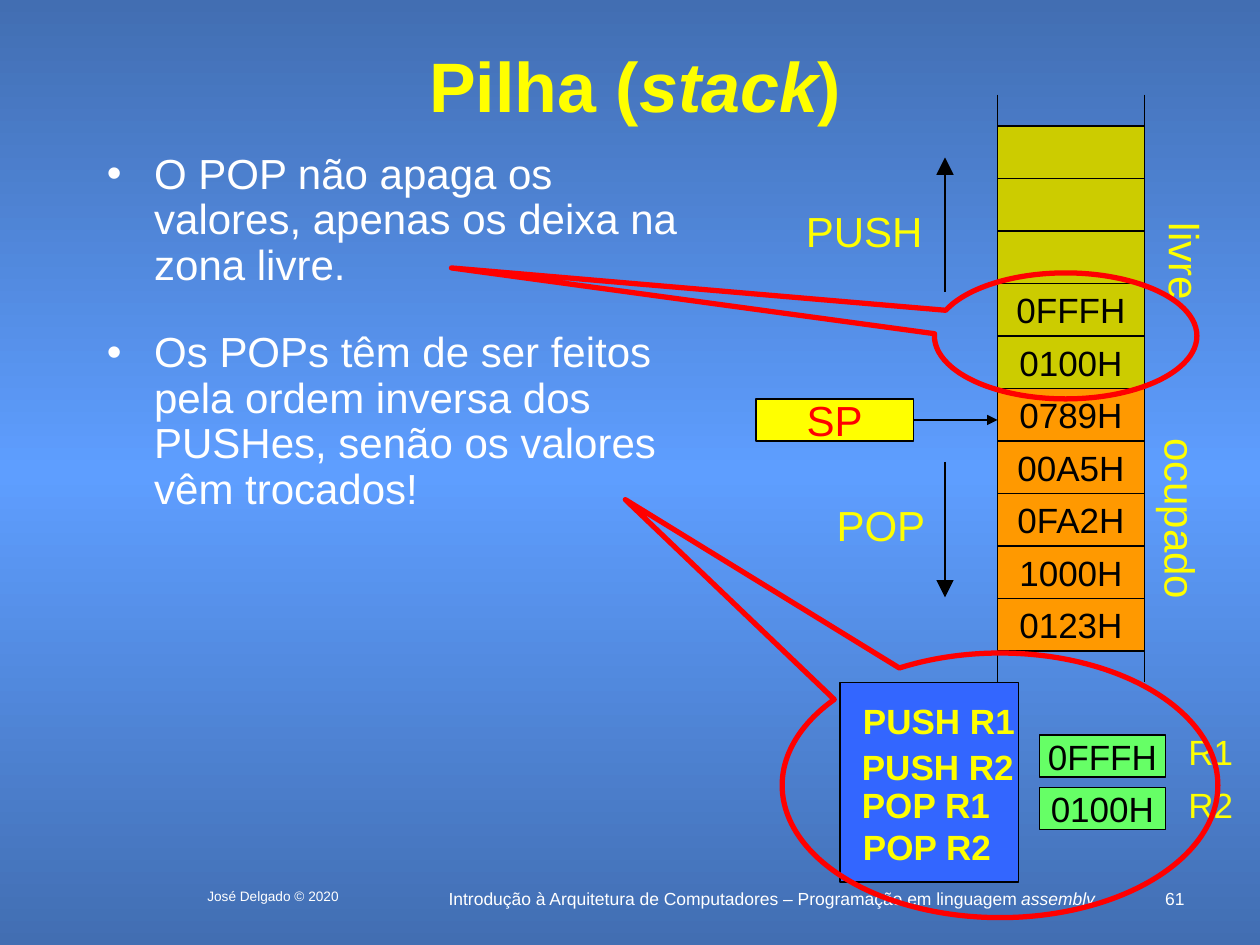
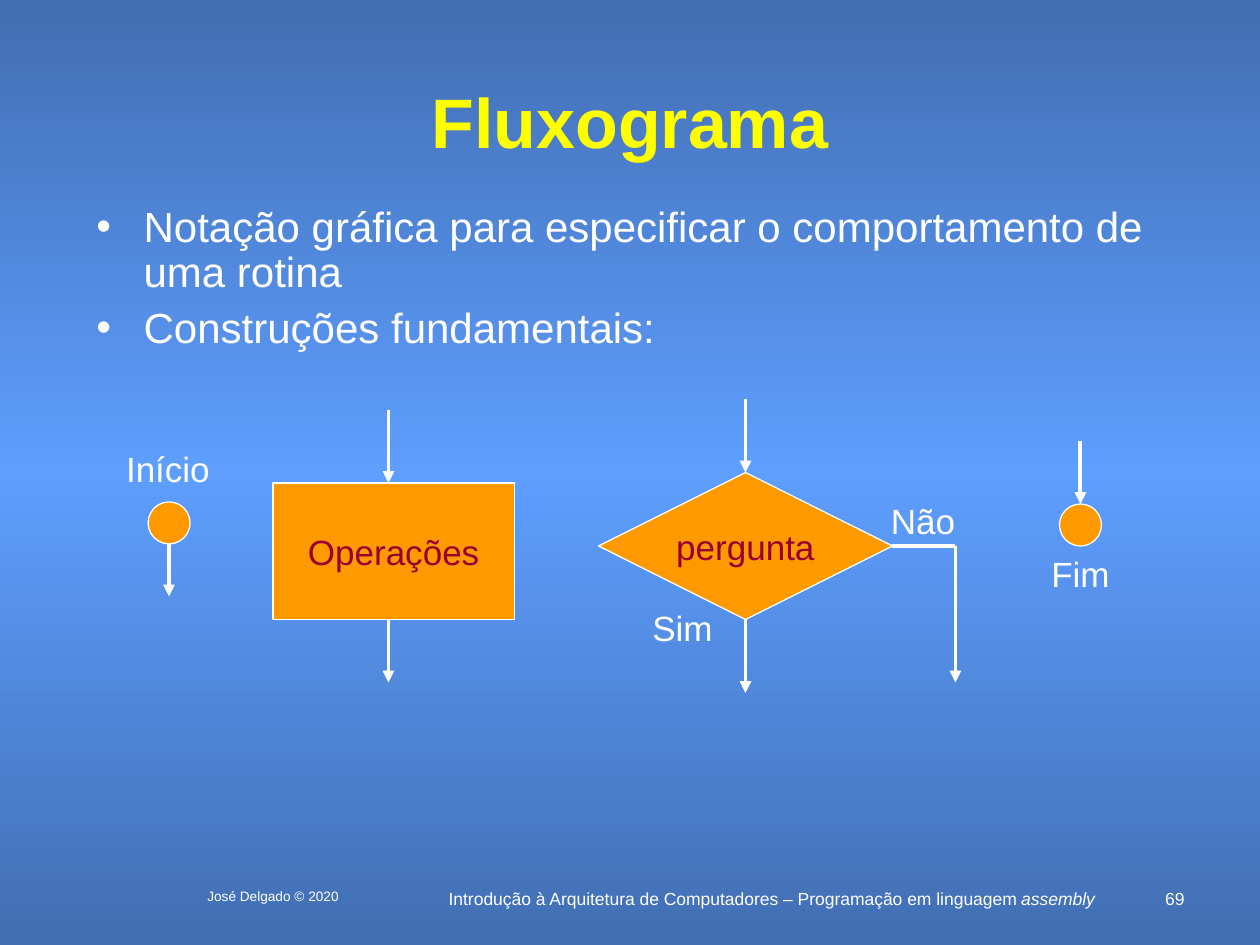
"""Build two lecture slides: the stack (PUSH and POP) and the flowchart notation."""
from copy import deepcopy

from lxml import etree
from pptx import Presentation
from pptx import util as u
from pptx.dml.color import RGBColor
from pptx.enum import shapes, text
from pptx.oxml.ns import qn

PX = 7620
COLORS = {
    "edge": "426EB2", "middle": "5E9EFF", "white": "FFFFFF", "black": "000000",
    "yellow": "FFFF00", "red": "FF0000", "orange": "FF9900", "olive": "CCCC00",
    "green": "66FF66", "blue": "3366FF", "wine": "990033",
}
RGB = {name: RGBColor.from_string(value) for name, value in COLORS.items()}
KIND = shapes.MSO_SHAPE
LEFT, CENTER, RIGHT = text.PP_ALIGN.LEFT, text.PP_ALIGN.CENTER, text.PP_ALIGN.RIGHT
TITLE = {"size": 40, "color": "yellow", "bold": True, "wrap": True}
BULLETS = {"size": 24, "align": LEFT, "wrap": True, "bullet": True}
LABEL = {"size": 24, "color": "yellow"}
CODE = {"color": "yellow", "align": LEFT, "wrap": True}
STEP = {"color": "wine", "fill": "orange", "line": "white"}
FOOTER = "Introdução à Arquitetura de Computadores – Programação em linguagem *assembly*"


def box(slide, kind, spot, lines=(), size=20, color="white", bold=False, align=CENTER,
        wrap=False, bullet=False, gap=0, fill=None, line=None, weight=0.75):
    """Add a preset shape, a text box (None) or the title; *...* marks italics."""
    area = [v * PX for v in spot]
    if kind == "title":
        item = slide.shapes.title
        item.left, item.top, item.width, item.height = area
    elif kind is None:
        item = slide.shapes.add_textbox(*area)
    else:
        item = slide.shapes.add_shape(kind, *area)
        item.shadow.inherit = False
        item.line.color.rgb, item.line.width = RGB[line], u.Pt(weight)
        if fill:
            item.fill.solid()
            item.fill.fore_color.rgb = RGB[fill]
        else:
            item.fill.background()
    frame = item.text_frame
    frame.word_wrap = wrap
    if kind is None and not wrap:
        frame.auto_size = text.MSO_AUTO_SIZE.SHAPE_TO_FIT_TEXT
    frame.vertical_anchor = text.MSO_ANCHOR.MIDDLE if kind else text.MSO_ANCHOR.TOP
    for n, content in enumerate(lines):
        para = frame.add_paragraph() if n else frame.paragraphs[0]
        para.alignment = align
        if bullet:
            para.line_spacing = 0.9
            props = para._p.get_or_add_pPr()
            props.set("marL", str(45 * PX))
            props.set("indent", str(-45 * PX))
            etree.SubElement(props, qn("a:buFont")).set("typeface", "Arial")
            etree.SubElement(props, qn("a:buChar")).set("char", "•")
        if n and gap:
            para.space_before = u.Pt(gap)
        for k, part in enumerate(content.split("*")):
            if part:
                run = para.add_run()
                run.text = part
                values = {"name": "Arial", "size": u.Pt(size), "bold": bold, "italic": k % 2 == 1}
                for key, value in values.items():
                    setattr(run.font, key, value)
                run.font.color.rgb = RGB[color]
    return item


def link(slide, ends, color, weight, head=None):
    """Add a straight line, with an arrowhead of size head at its end."""
    line = slide.shapes.add_connector(shapes.MSO_CONNECTOR.STRAIGHT, *[v * PX for v in ends])
    line.line.color.rgb, line.line.width = RGB[color], u.Pt(weight)
    props = line.element.spPr
    if head:
        tip = etree.SubElement(props.find(qn("a:ln")), qn("a:tailEnd"))
        for key, value in {"type": "triangle", "w": head, "len": head}.items():
            tip.set(key, value)
    etree.SubElement(props, qn("a:effectLst"))
    return line


prs = Presentation()
prs.slide_width, prs.slide_height = 1200 * PX, 900 * PX

backdrop = prs.slide_master.background.fill
backdrop.gradient()
backdrop.gradient_angle = 90
stops = prs.slide_master.element.find(".//" + qn("a:gsLst"))
stops.append(deepcopy(stops[-1]))
for stop, position, tone in zip(backdrop.gradient_stops, (0, 0.5, 1), ("edge", "middle", "edge")):
    stop.position, stop.color.rgb = position, RGB[tone]

slides = []
for number, title, spot in (("61", "Pilha (*stack*)", (90, 40, 1030, 80)),
                            ("69", "Fluxograma", (80, 70, 1040, 90))):
    slide = prs.slides.add_slide(prs.slide_layouts[5])
    box(slide, "title", spot, [title], **TITLE)
    box(slide, None, (410, 840, 650, 30), [FOOTER], size=10, wrap=True)
    box(slide, None, (1090, 840, 50, 20), [number], size=10, align=RIGHT, wrap=True)
    box(slide, None, (160, 840, 200, 30), ["José Delgado © 2020"], size=7.8, wrap=True)
    slides.append(slide)
stack, flow = slides

for zone, spot in (("livre", (1074, 219, 110, 60)), ("ocupado", (1030, 464, 190, 60))):
    box(stack, None, spot, [zone], **LABEL).rotation = 90
for operation, spot, ends in (("PUSH", (748, 190, 150, 60), (900, 278, 900, 150)),
                              ("POP", (774, 470, 130, 60), (900, 440, 900, 569))):
    box(stack, None, spot, [operation], **LABEL)
    link(stack, ends, "black", 0.75, "lg")

for n, (register, value) in enumerate((("R1", "0FFFH"), ("R2", "0100H"))):
    box(stack, KIND.RECTANGLE, (990, 700 + 50 * n, 120, 40), [value],
        color="black", fill="green", line="black")
    box(stack, None, (1120, 690 + 50 * n, 80, 53), [register], **CODE)

for rail in (950, 1090):
    link(stack, (rail, 90, rail, 650), "black", 0.75)
free = ["", "", "", "0FFFH", "0100H"]
used = ["0789H", "00A5H", "0FA2H", "1000H", "0123H"]
for n, value in enumerate(free + used):
    box(stack, KIND.RECTANGLE, (950, 120 + 50 * n, 140, 50), [value], color="black",
        fill="olive" if n < len(free) else "orange", line="black")

box(stack, KIND.RECTANGLE, (800, 650, 170, 190), fill="blue", line="black")
for instruction, left, top in (("PUSH R1", 810, 660), ("PUSH R2", 809, 704),
                               ("POP R1", 809, 740), ("POP R2", 810, 780)):
    box(stack, None, (left, top, 176, 53), [instruction], bold=True, **CODE)

pointer = box(stack, KIND.RECTANGLE, (720, 380, 150, 40), ["SP"], size=24, color="red",
              fill="yellow", line="black")
link(stack, (870, 400, 950, 400), "black", 0.75, "med").begin_connect(pointer, 3)

remarks = (
    ("O POP não apaga os valores, apenas os deixa na zona livre.",
     (90, 140, 580, 170), (890, 260, 250, 120), (-2.34, -0.54)),
    ("Os POPs têm de ser feitos pela ordem inversa dos PUSHes, senão os valores vêm trocados!",
     (90, 310, 580, 490), (745, 622, 415, 252), (-0.86, -1.08)),
)
for remark, spot, bubble, tip in remarks:
    box(stack, None, spot, [remark], **BULLETS)
    callout = box(stack, KIND.OVAL_CALLOUT, bubble, line="red", weight=3)
    for n, offset in enumerate(tip):
        callout.adjustments[n] = offset

box(flow, None, (80, 190, 1050, 160),
    ["Notação gráfica para especificar o comportamento de uma rotina",
     "Construções fundamentais:"], gap=6, **BULLETS)
box(flow, KIND.RECTANGLE, (260, 460, 230, 130), ["Operações"], **STEP)
question = box(flow, KIND.DIAMOND, (570, 450, 280, 140), ["pergunta"], **STEP)
box(flow, KIND.OVAL, (141, 478, 40, 40), **STEP)
finish = box(flow, KIND.OVAL, (1009, 480, 40, 40), **STEP)

for ends in ((370, 390, 370, 460), (370, 590, 370, 650),
             (910, 520, 910, 650), (161, 518, 161, 568)):
    link(flow, ends, "white", 2.25, "med")
link(flow, (710, 590, 710, 660), "white", 2.25, "med").begin_connect(question, 2)
link(flow, (850, 520, 910, 520), "white", 2.25).begin_connect(question, 3)
link(flow, (710, 380, 710, 450), "white", 2.25, "med").end_connect(question, 0)
link(flow, (1029, 420, 1029, 480), "white", 2.25, "med").end_connect(finish, 0)

for label, spot in (("Sim", (600, 572, 100, 53)), ("Não", (829, 470, 100, 53)),
                    ("Início", (100, 420, 120, 53)), ("Fim", (979, 520, 100, 53))):
    box(flow, None, spot, [label])

prs.save("out.pptx")
